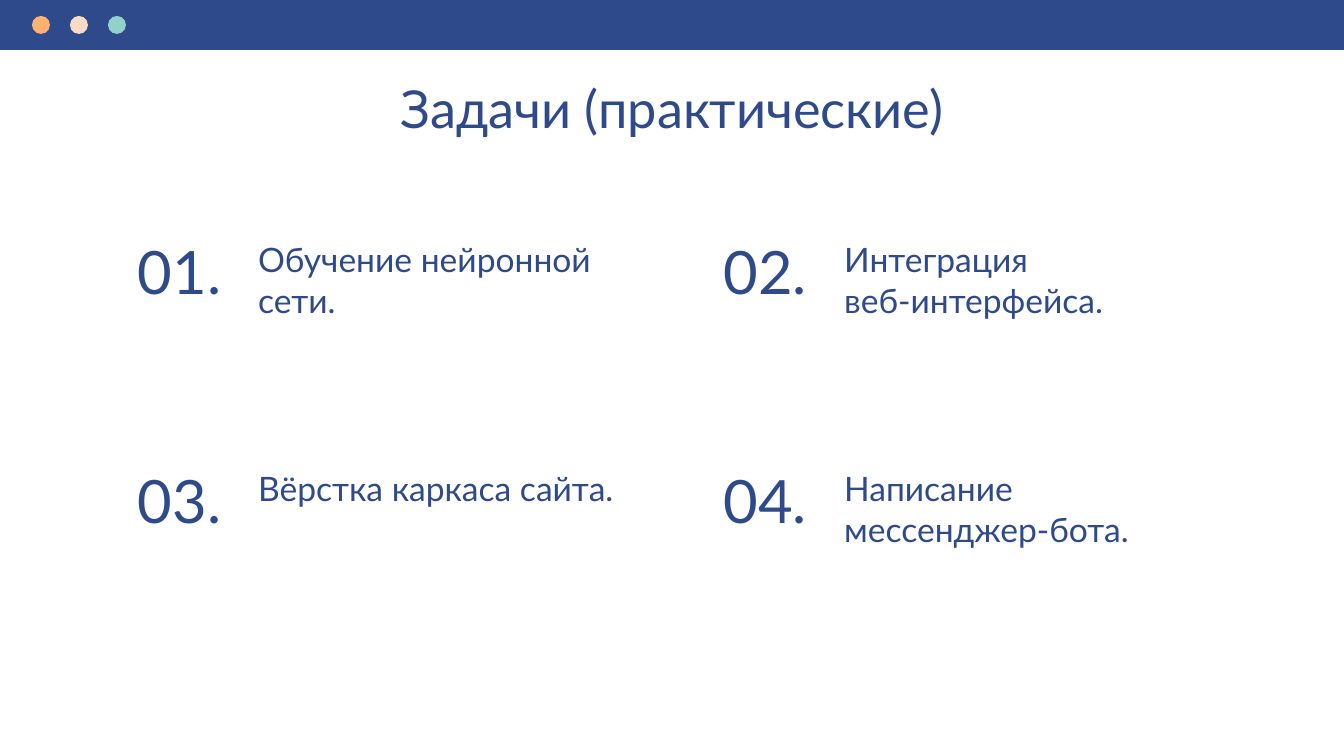
from pptx import Presentation, util as u
from pptx.dml.color import RGBColor
from pptx.enum import shapes, text

SCALE = 914400 / 134.4


class Theme:
    font = "Lato"
    navy, orange, cream, mint, white = "2F4A8A", "FFB172", "F8DBC4", "90D1CB", "FFFFFF"
    head, number, body = 28, 32, 18


def emu(*vals):
    return [u.Emu(round(v * SCALE)) for v in vals]


class Deck:
    def __init__(self, theme, wide, high):
        self.theme = theme
        self.prs = Presentation()
        self.prs.slide_width, self.prs.slide_height = emu(wide, high)
        self.slide = self.prs.slides.add_slide(self.prs.slide_layouts[5])
        back = self.slide.background.fill
        back.solid()
        back.fore_color.rgb = RGBColor.from_string(theme.white)

    def fill_text(self, shape, words, size, align, anchor):
        frame = shape.text_frame
        inset = u.Inches(0.1)
        look = dict(text=words, word_wrap=True, auto_size=text.MSO_AUTO_SIZE.NONE,
                    vertical_anchor=anchor, margin_left=inset, margin_right=inset,
                    margin_top=inset, margin_bottom=inset)
        for key, val in look.items():
            setattr(frame, key, val)
        para = frame.paragraphs[0]
        para.alignment = align
        for run in para.runs:
            for key, val in dict(name=self.theme.font, size=u.Pt(size)).items():
                setattr(run.font, key, val)
            run.font.color.rgb = RGBColor.from_string(self.theme.navy)

    def title(self, words, box):
        shape = self.slide.shapes.title
        for key, val in zip(("left", "top", "width", "height"), emu(*box)):
            setattr(shape, key, val)
        self.fill_text(shape, words, self.theme.head,
                       text.PP_ALIGN.CENTER, text.MSO_ANCHOR.TOP)

    def label(self, words, box, size, align=text.PP_ALIGN.LEFT,
              anchor=text.MSO_ANCHOR.TOP):
        shape = self.slide.shapes.add_textbox(*emu(*box))
        self.fill_text(shape, words, size, align, anchor)

    def shape(self, kind, box, color):
        shape = self.slide.shapes.add_shape(kind, *emu(*box))
        shape.shadow.inherit = False
        shape.fill.solid()
        shape.fill.fore_color.rgb = RGBColor.from_string(color)
        shape.line.fill.background()


theme = Theme()
deck = Deck(theme, 1344, 756)
deck.title("Задачи (практические)", (105, 63, 1134, 69))

# Numbered tasks in a two by two grid
tasks = ["Обучение нейронной сети.", "Интеграция \vвеб-интерфейса.",
         "Вёрстка каркаса сайта.", "Написание \vмессенджер-бота."]
for i, task in enumerate(tasks):
    row, col = divmod(i, 2)
    x, y = 113 + 586 * col, 226 + 229 * row
    deck.label(task, (x + 132, y, 396, 69), theme.body)
    deck.label(f"{i + 1:02}.", (x, y + 8, 133, 86), theme.number,
               text.PP_ALIGN.CENTER, text.MSO_ANCHOR.BOTTOM)

# Window bar with three dots
kinds = shapes.MSO_SHAPE
deck.shape(kinds.RECTANGLE, (0, 0, 1344, 50), theme.navy)
for i, color in enumerate((theme.orange, theme.cream, theme.mint)):
    deck.shape(kinds.OVAL, (32 + 38 * i, 16, 18, 18), color)

deck.prs.save("out.pptx")
